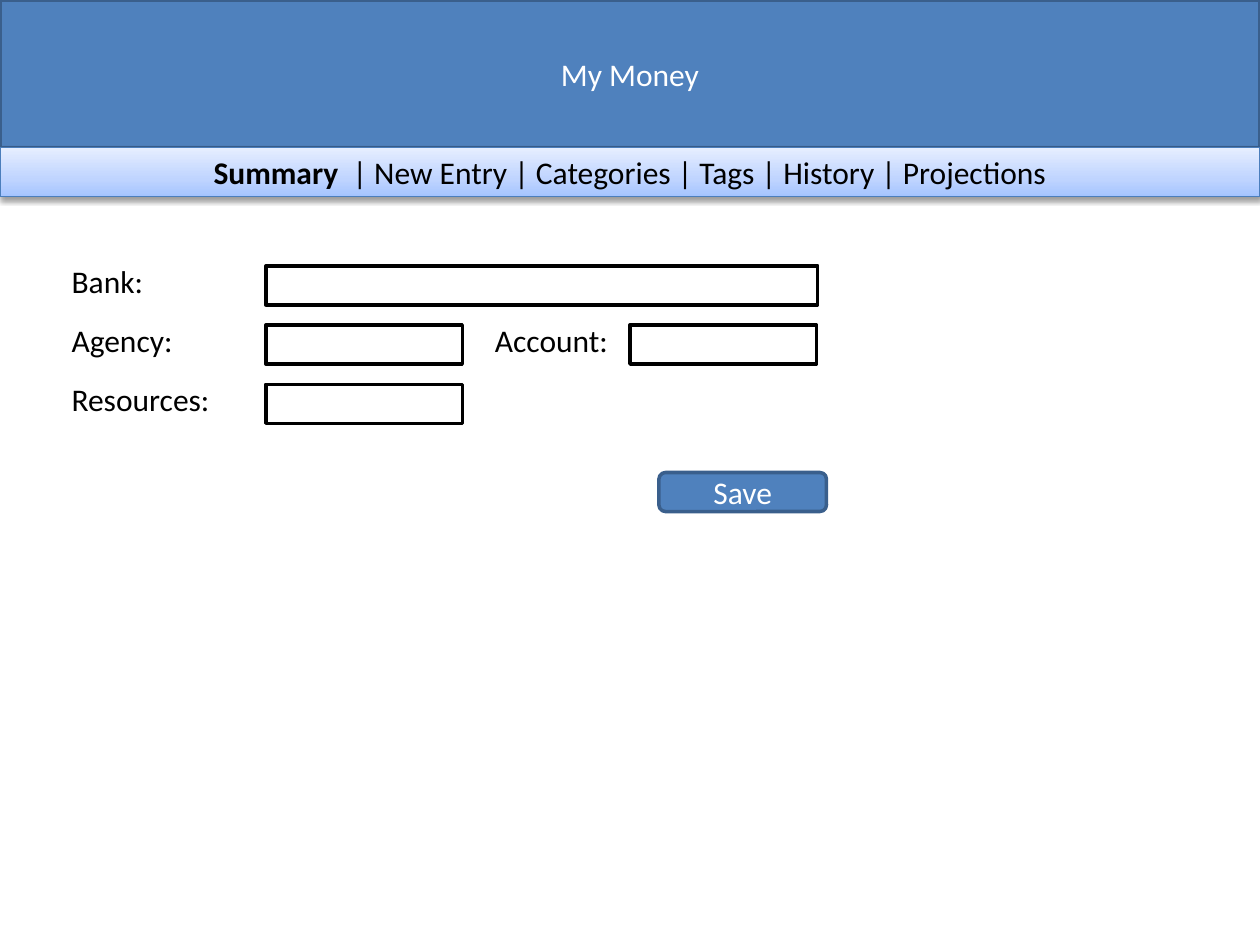
import pptx
import pptx.util
import pptx.dml.color
import pptx.enum.shapes
import pptx.enum.text
import pptx.oxml
import pptx.oxml.ns

Inches = pptx.util.Inches
RGBColor = pptx.dml.color.RGBColor
Shapes = pptx.enum.shapes.MSO_SHAPE
Align = pptx.enum.text.PP_ALIGN

BLUE = RGBColor(0x4F, 0x81, 0xBD)
DARK_BLUE = RGBColor(0x3A, 0x5F, 0x8C)
MENU_LINE = RGBColor(0x4B, 0x7E, 0xBC)
WHITE = RGBColor(0xFF, 0xFF, 0xFF)
BLACK = RGBColor(0, 0, 0)
MENU_STOPS = [(0, RGBColor(0xA4, 0xC4, 0xFF)),
              (35, RGBColor(0xBF, 0xD4, 0xFF)),
              (100, RGBColor(0xE6, 0xEE, 0xFF))]

ROW_STEP = 0.47
FIELD_DROP = 0.08
FIELD_HEIGHT = 0.31
FORM_ROWS = [
    [("Bank:", 0, 1.64, 4.38)],
    [("Agency:", 0, 1.64, 1.56), ("Account:", 3.36, 4.53, 1.48)],
    [("Resources:", 0, 1.64, 1.56)],
]


def place(shape, left, top, width, height):
    shape.left, shape.top = Inches(left), Inches(top)
    shape.width, shape.height = Inches(width), Inches(height)


def paint(shape, fill, line, weight=2):
    shape.fill.solid()
    shape.fill.fore_color.rgb = fill
    shape.line.color.rgb = line
    shape.line.width = pptx.util.Pt(weight)


def add_box(page, kind, left, top, width, height, fill, line, weight=2):
    box = page.shapes.add_shape(kind, Inches(left), Inches(top), Inches(width), Inches(height))
    box.shadow.inherit = False
    paint(box, fill, line, weight)
    return box


def write(shape, spans, color, align=Align.LEFT):
    para = shape.text_frame.paragraphs[0]
    para.alignment = align
    for text, bold in spans:
        span = para.add_run()
        span.text = text
        span.font.name = "Calibri"
        span.font.size = pptx.util.Pt(18)
        span.font.bold = bold
        span.font.color.rgb = color


def add_banner(page, left, top, width, height):
    banner = page.shapes.title
    place(banner, left, top, width, height)
    paint(banner, BLUE, DARK_BLUE)
    banner.text_frame.vertical_anchor = pptx.enum.text.MSO_ANCHOR.MIDDLE
    write(banner, [("My Money", False)], WHITE, Align.CENTER)


def add_menu(page, left, top, width, height):
    menu = add_box(page, Shapes.RECTANGLE, left, top, width, height, WHITE, MENU_LINE, 0.75)
    namespace = pptx.oxml.ns.nsdecls("a")
    stops = "".join(f'<a:gs pos="{position * 1000}"><a:srgbClr val="{color}"/></a:gs>'
                    for position, color in MENU_STOPS)
    gradient = pptx.oxml.parse_xml(
        f'<a:gradFill {namespace} rotWithShape="1"><a:gsLst>{stops}</a:gsLst>'
        '<a:lin ang="16200000" scaled="0"/></a:gradFill>')
    shadow = pptx.oxml.parse_xml(
        f'<a:outerShdw {namespace} blurRad="40000" dist="20000" dir="5400000" rotWithShape="0">'
        '<a:srgbClr val="000000"><a:alpha val="38000"/></a:srgbClr></a:outerShdw>')
    properties = menu.element.spPr
    properties.replace(properties.find(pptx.oxml.ns.qn("a:solidFill")), gradient)
    properties.find(pptx.oxml.ns.qn("a:effectLst")).append(shadow)
    write(menu, [("Summary", True),
                 ("  | New Entry | Categories | Tags | History | Projections", False)],
          BLACK, Align.CENTER)


def add_label(page, text, left, top):
    label = page.shapes.add_textbox(Inches(left), Inches(top), Inches(1.33), Inches(0.4))
    label.text_frame.word_wrap = True
    write(label, [(text, False)], BLACK)


def add_form(page, left, top):
    for index, row in enumerate(FORM_ROWS):
        row_top = top + index * ROW_STEP
        for text, label_left, field_left, field_width in row:
            add_label(page, text, left + label_left, row_top)
            add_box(page, Shapes.RECTANGLE, left + field_left, row_top + FIELD_DROP,
                    field_width, FIELD_HEIGHT, WHITE, BLACK)
    button = add_box(page, Shapes.ROUNDED_RECTANGLE, left + 4.76, top + 1.72,
                     1.33, FIELD_HEIGHT, BLUE, DARK_BLUE)
    write(button, [("Save", False)], WHITE, Align.CENTER)


deck = pptx.Presentation()
deck.slide_width, deck.slide_height = Inches(10), Inches(7.5)
page = deck.slides.add_slide(deck.slide_layouts[5])
add_banner(page, 0, 0, 10, 1.17)
add_menu(page, 0, 1.17, 10, 0.39)
add_form(page, 0.47, 2.03)
deck.save("out.pptx")
